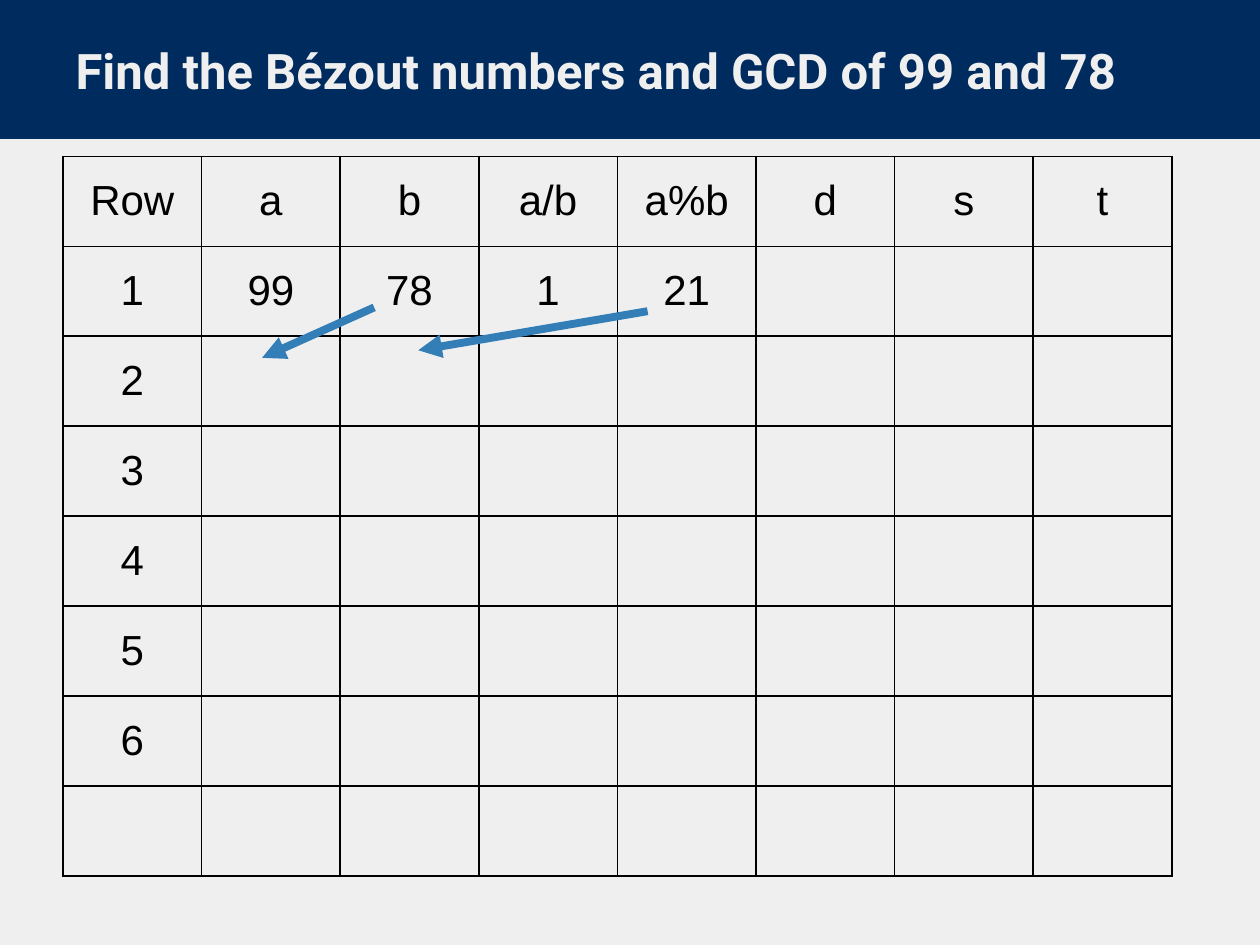
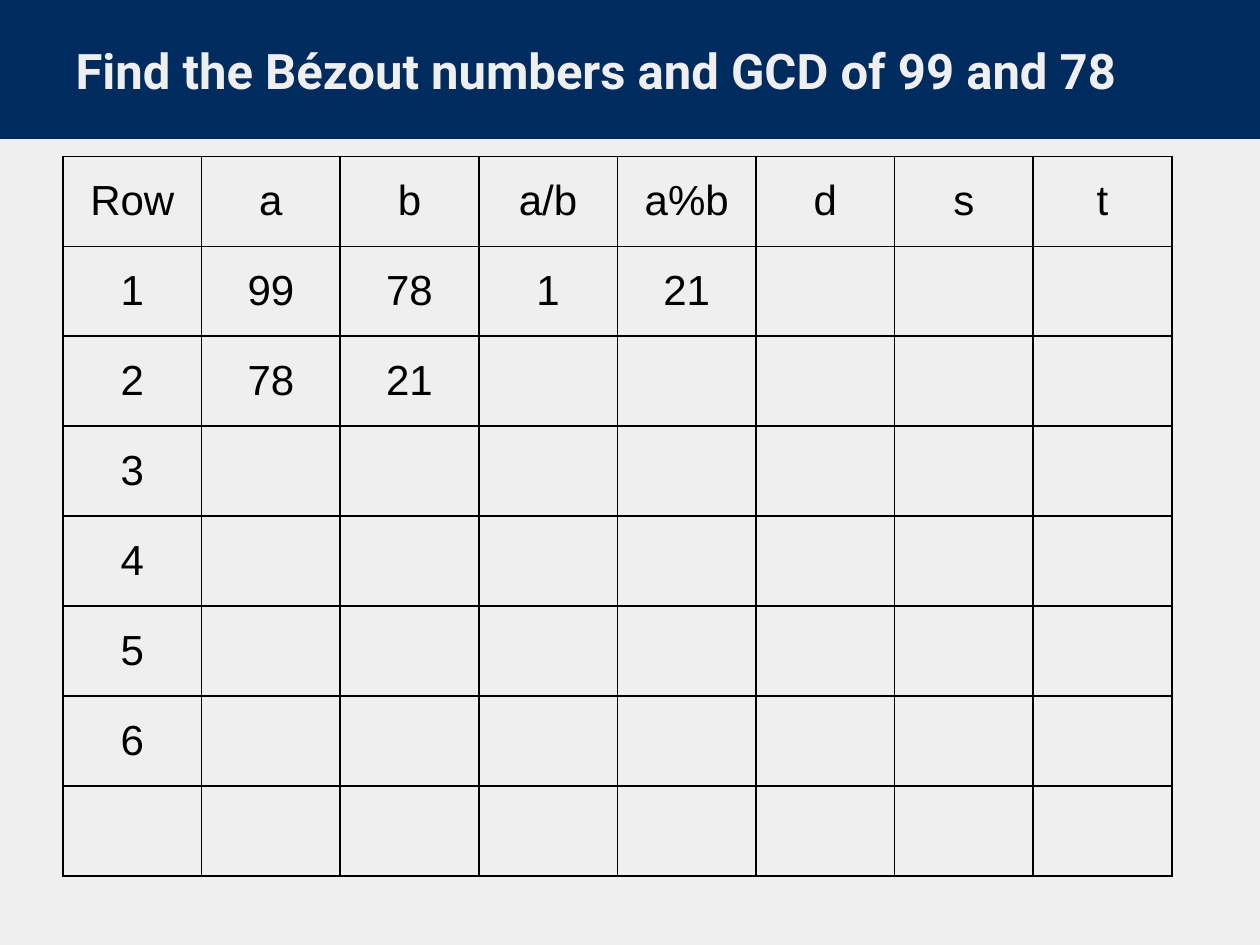
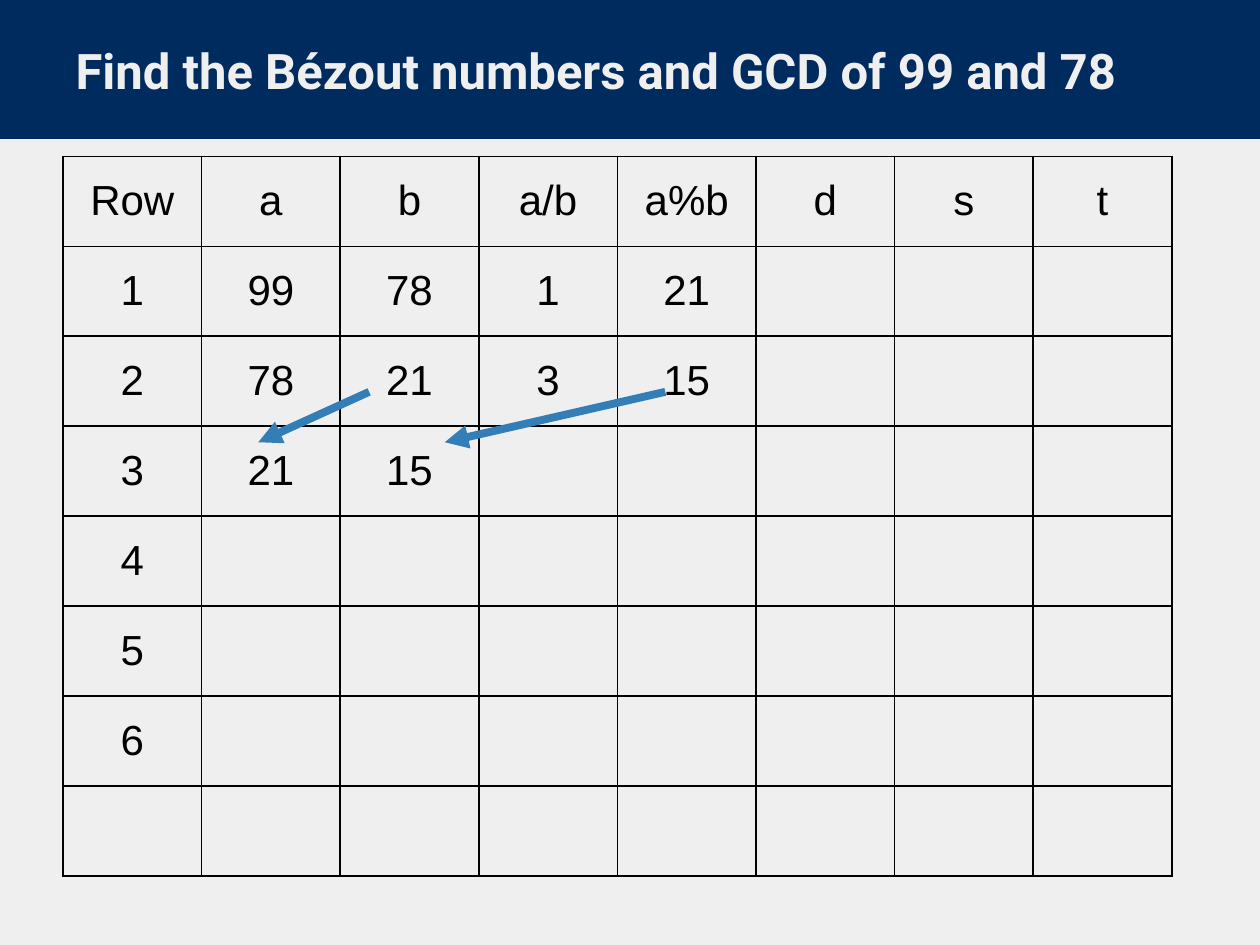
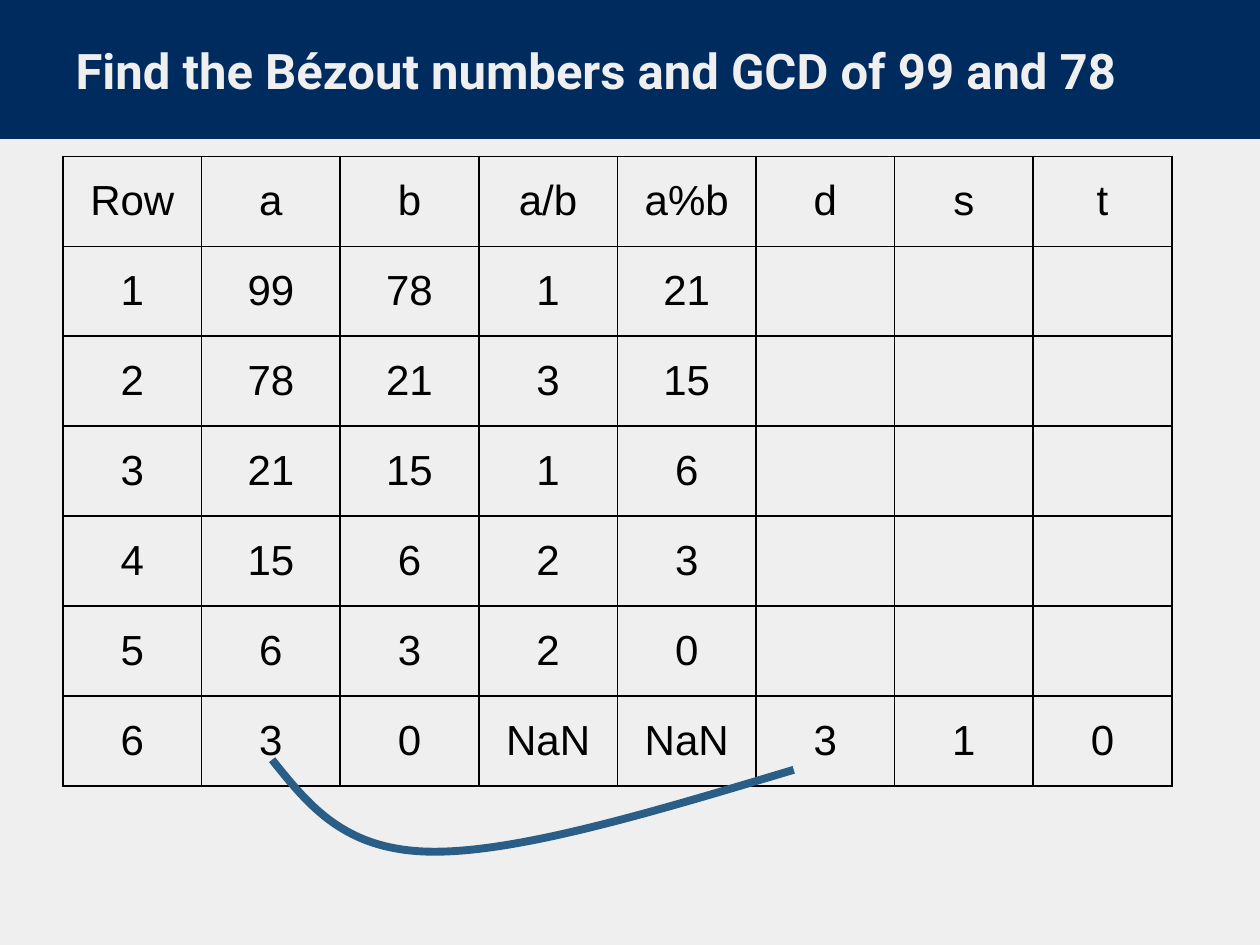
import dataclasses
import typing

import lxml.etree
import pptx
import pptx.dml.color
import pptx.enum.shapes
import pptx.enum.text
import pptx.oxml
import pptx.oxml.ns
import pptx.presentation
import pptx.shapes.autoshape
import pptx.slide
import pptx.table
import pptx.text.text
import pptx.util

Inches = pptx.util.Inches
Point = tuple[float, float]


@dataclasses.dataclass(frozen=True)
class Theme:
    background: str = "EFEFEF"
    band: str = "002B5E"
    title_text: str = "EFEFEF"
    table_text: str = "000000"
    border: str = "000000"
    arrow: str = "347EB8"
    curve: str = "2A5E87"
    title_font: str = "Roboto"
    table_font: str = "Arial"
    title_size: float = 28
    table_size: float = 24
    band_line_width: float = 1.5
    border_width: float = 1
    arrow_width: float = 4.5


@dataclasses.dataclass(frozen=True)
class Arrow:
    start: Point
    end: Point


@dataclasses.dataclass(frozen=True)
class Curve:
    start: Point
    segments: tuple[tuple[Point, Point, Point], ...]


@dataclasses.dataclass(frozen=True)
class Step:
    started_rows: int
    divided_rows: int
    solved: bool = False
    spare_rows: int = 1
    arrows: tuple[Arrow, ...] = ()
    curve: typing.Optional[Curve] = None


THEME = Theme()
FIRST, SECOND = 99, 78
TITLE = f"Find the Bézout numbers and GCD of {FIRST} and {SECOND}"
HEADINGS = ["Row", "a", "b", "a/b", "a%b", "d", "s", "t"]
TABLE_LEFT, TABLE_TOP = 0.5, 1.24
COLUMN_WIDTH, ROW_HEIGHT = 1.1, 5 / 7

STEPS = (
    Step(1, 1, arrows=(
        Arrow((2.97, 2.44), (2.08, 2.84)),
        Arrow((5.14, 2.47), (3.32, 2.78)),
    )),
    Step(2, 1),
    Step(3, 2, arrows=(
        Arrow((2.93, 3.11), (2.05, 3.51)),
        Arrow((5.28, 3.11), (3.53, 3.51)),
    )),
    Step(6, 6, solved=True, spare_rows=0, curve=Curve((2.16, 6.03), (
        ((2.45, 6.39), (2.73, 6.75), (3.42, 6.76)),
        ((4.11, 6.77), (5.2, 6.44), (6.3, 6.11)),
    ))),
)


def rgb(color: str) -> pptx.dml.color.RGBColor:
    return pptx.dml.color.RGBColor.from_string(color)


def write_text(
    frame: pptx.text.text.TextFrame,
    text: str,
    *,
    font: str,
    size: float,
    color: str,
    bold: bool = False,
    alignment: pptx.enum.text.PP_ALIGN = pptx.enum.text.PP_ALIGN.LEFT,
) -> None:
    paragraph = frame.paragraphs[0]
    paragraph.alignment = alignment
    run = paragraph.add_run()
    run.text = text
    run.font.name = font
    run.font.size = pptx.util.Pt(size)
    run.font.bold = bold
    run.font.color.rgb = rgb(color)


def euclid_rows(a: int, b: int) -> list[list[str]]:
    rows = []
    while b:
        rows.append([a, b, a // b, a % b])
        a, b = b, a % b
    rows.append([a, b, "NaN", "NaN", a, 1, 0])
    return [[str(value) for value in row] for row in rows]


def table_rows(step: Step) -> list[list[str]]:
    rows = [HEADINGS]
    for number, values in enumerate(euclid_rows(FIRST, SECOND), start=1):
        if number > step.started_rows:
            shown = 0
        elif number > step.divided_rows:
            shown = 2
        else:
            shown = len(values) if step.solved else 4
        rows.append([str(number), *values[:shown]])
    return rows + [[] for _ in range(step.spare_rows)]


def add_borders(cell: pptx.table._Cell) -> None:
    properties = cell._tc.get_or_add_tcPr()
    for side in ("lnL", "lnR", "lnT", "lnB"):
        properties.append(pptx.oxml.parse_xml(
            f'<a:{side} {pptx.oxml.ns.nsdecls("a")} w="{pptx.util.Pt(THEME.border_width)}">'
            f'<a:solidFill><a:srgbClr val="{THEME.border}"/></a:solidFill></a:{side}>'
        ))


def add_number_table(slide: pptx.slide.Slide, rows: list[list[str]]) -> None:
    columns = len(HEADINGS)
    table = slide.shapes.add_table(
        len(rows), columns, Inches(TABLE_LEFT), Inches(TABLE_TOP),
        Inches(columns * COLUMN_WIDTH), Inches(len(rows) * ROW_HEIGHT),
    ).table
    table.first_row = False
    table.horz_banding = False
    for column in table.columns:
        column.width = Inches(COLUMN_WIDTH)
    for row_index, values in enumerate(rows):
        table.rows[row_index].height = Inches(ROW_HEIGHT)
        for column_index in range(columns):
            cell = table.cell(row_index, column_index)
            cell.vertical_anchor = pptx.enum.text.MSO_ANCHOR.MIDDLE
            add_borders(cell)
            cell.fill.background()
            if column_index < len(values):
                write_text(
                    cell.text_frame, values[column_index],
                    font=THEME.table_font, size=THEME.table_size,
                    color=THEME.table_text,
                    alignment=pptx.enum.text.PP_ALIGN.CENTER,
                )


def add_arrow(slide: pptx.slide.Slide, arrow: Arrow) -> None:
    connector = slide.shapes.add_connector(
        pptx.enum.shapes.MSO_CONNECTOR.STRAIGHT,
        *(Inches(value) for value in (*arrow.start, *arrow.end)),
    )
    connector.line.color.rgb = rgb(THEME.arrow)
    connector.line.width = pptx.util.Pt(THEME.arrow_width)
    qn = pptx.oxml.ns.qn
    properties = connector.element.spPr
    lxml.etree.SubElement(properties.find(qn("a:ln")), qn("a:tailEnd"), type="triangle")
    lxml.etree.SubElement(properties, qn("a:effectLst"))


def add_curve(slide: pptx.slide.Slide, curve: Curve) -> None:
    builder = slide.shapes.build_freeform(*(Inches(value) for value in curve.start))
    builder.add_line_segments(
        [(Inches(x), Inches(y)) for segment in curve.segments for x, y in segment],
        close=False,
    )
    shape = builder.convert_to_shape()
    shape.shadow.inherit = False
    shape.fill.background()
    shape.line.color.rgb = rgb(THEME.curve)
    shape.line.width = pptx.util.Pt(THEME.arrow_width)
    qn = pptx.oxml.ns.qn
    outline = shape.element.find(".//" + qn("a:path"))
    lines = outline.findall(qn("a:lnTo"))
    for first in range(0, len(lines), 3):
        bezier = lxml.etree.SubElement(outline, qn("a:cubicBezTo"))
        for line in lines[first:first + 3]:
            bezier.append(line[0])
            outline.remove(line)


def style_layout(layout: pptx.slide.SlideLayout) -> None:
    layout.background.fill.solid()
    layout.background.fill.fore_color.rgb = rgb(THEME.background)
    title = layout.placeholders[0]
    title.left, title.top = Inches(0.5), Inches(0.22)
    title.width, title.height = Inches(9), Inches(0.67)
    frame = title.text_frame
    frame.auto_size = pptx.enum.text.MSO_AUTO_SIZE.NONE
    frame.vertical_anchor = pptx.enum.text.MSO_ANCHOR.BOTTOM
    frame.margin_left = frame.margin_right = Inches(0.1)
    frame.margin_top = frame.margin_bottom = Inches(0.1)


def add_band(slide: pptx.slide.Slide) -> None:
    band = slide.shapes.add_shape(
        pptx.enum.shapes.MSO_SHAPE.RECTANGLE, 0, 0, Inches(10), Inches(1.09)
    )
    band.shadow.inherit = False
    band.fill.solid()
    band.fill.fore_color.rgb = rgb(THEME.band)
    band.line.color.rgb = rgb(THEME.band)
    band.line.width = pptx.util.Pt(THEME.band_line_width)
    slide.slide_layout.shapes.element.insert(2, band.element)


def add_step_slide(
    presentation: pptx.presentation.Presentation,
    layout: pptx.slide.SlideLayout,
    step: Step,
) -> pptx.slide.Slide:
    slide = presentation.slides.add_slide(layout)
    write_text(
        slide.shapes.title.text_frame, TITLE,
        font=THEME.title_font, size=THEME.title_size,
        color=THEME.title_text, bold=True,
    )
    add_number_table(slide, table_rows(step))
    for arrow in step.arrows:
        add_arrow(slide, arrow)
    if step.curve:
        add_curve(slide, step.curve)
    return slide


def main() -> None:
    presentation = pptx.Presentation()
    presentation.slide_width, presentation.slide_height = Inches(10), Inches(7.5)
    layout = presentation.slide_layouts.get_by_name("Title Only")
    style_layout(layout)
    slides = [add_step_slide(presentation, layout, step) for step in STEPS]
    add_band(slides[0])
    presentation.save("out.pptx")


main()
